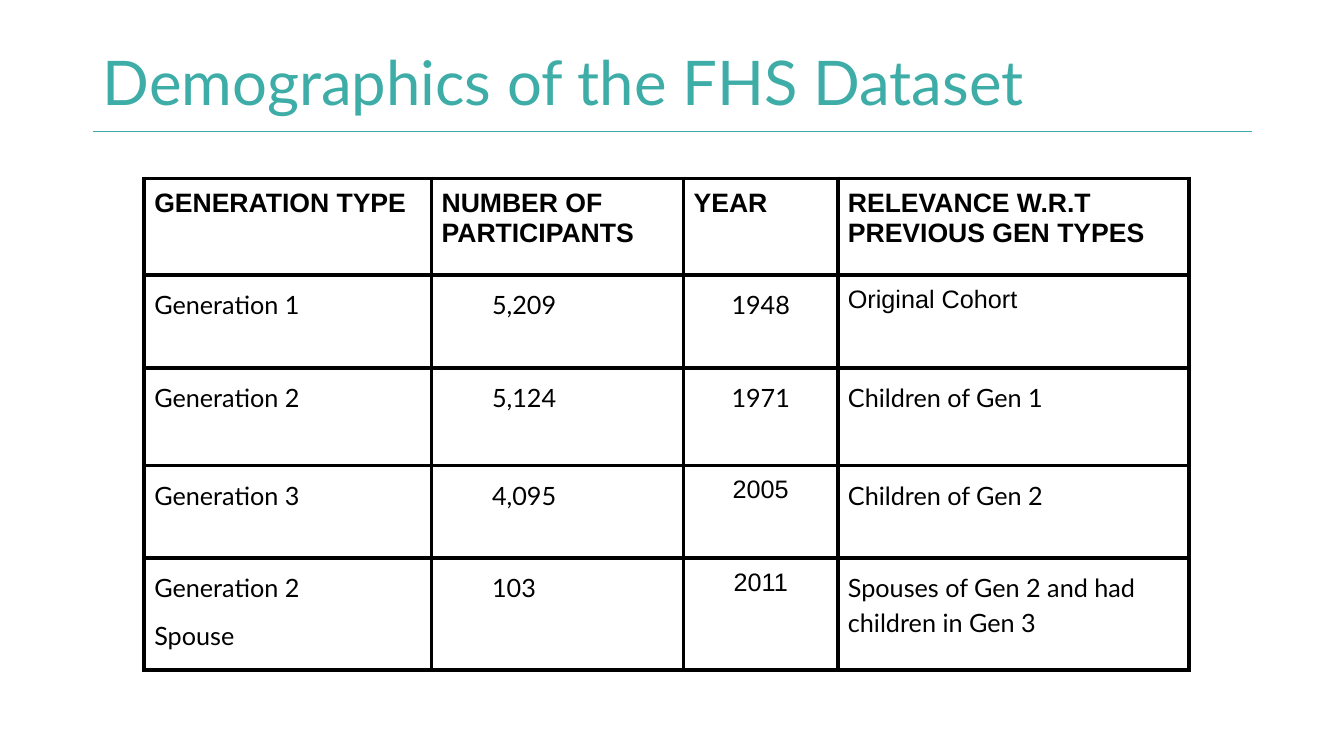
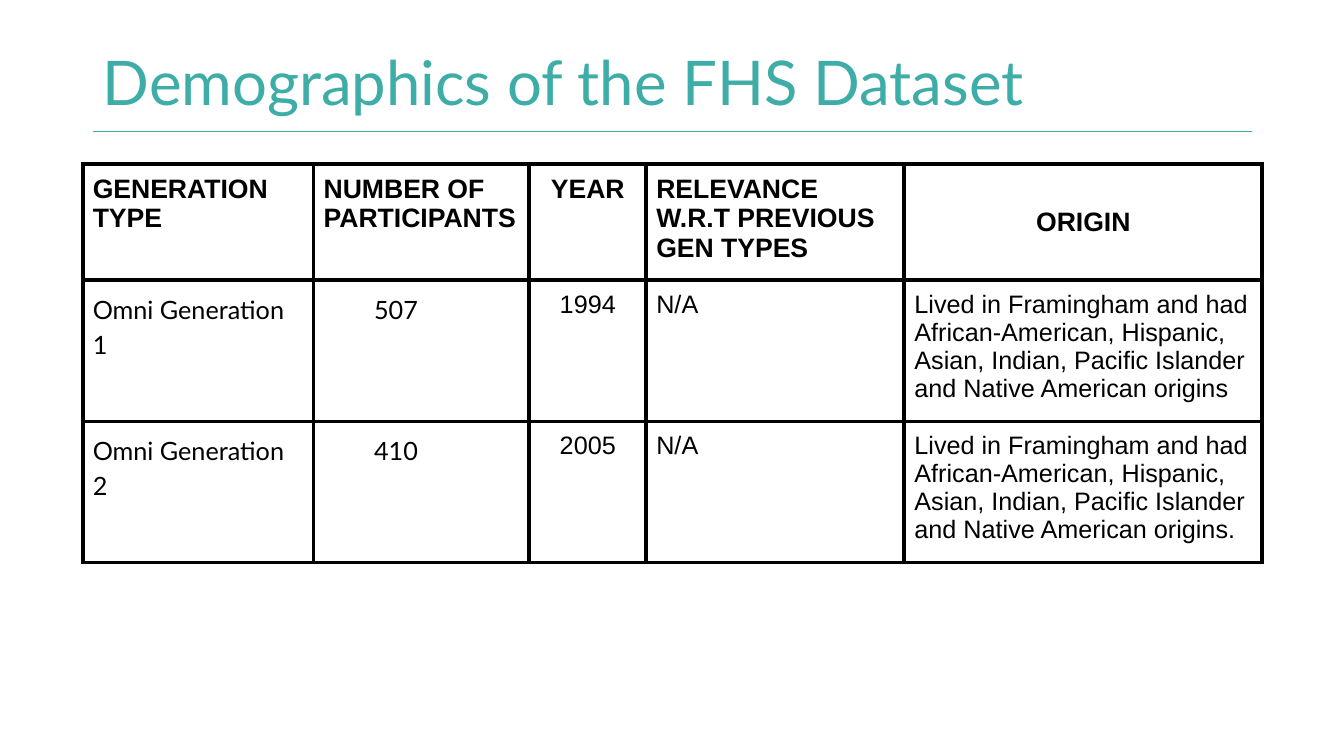
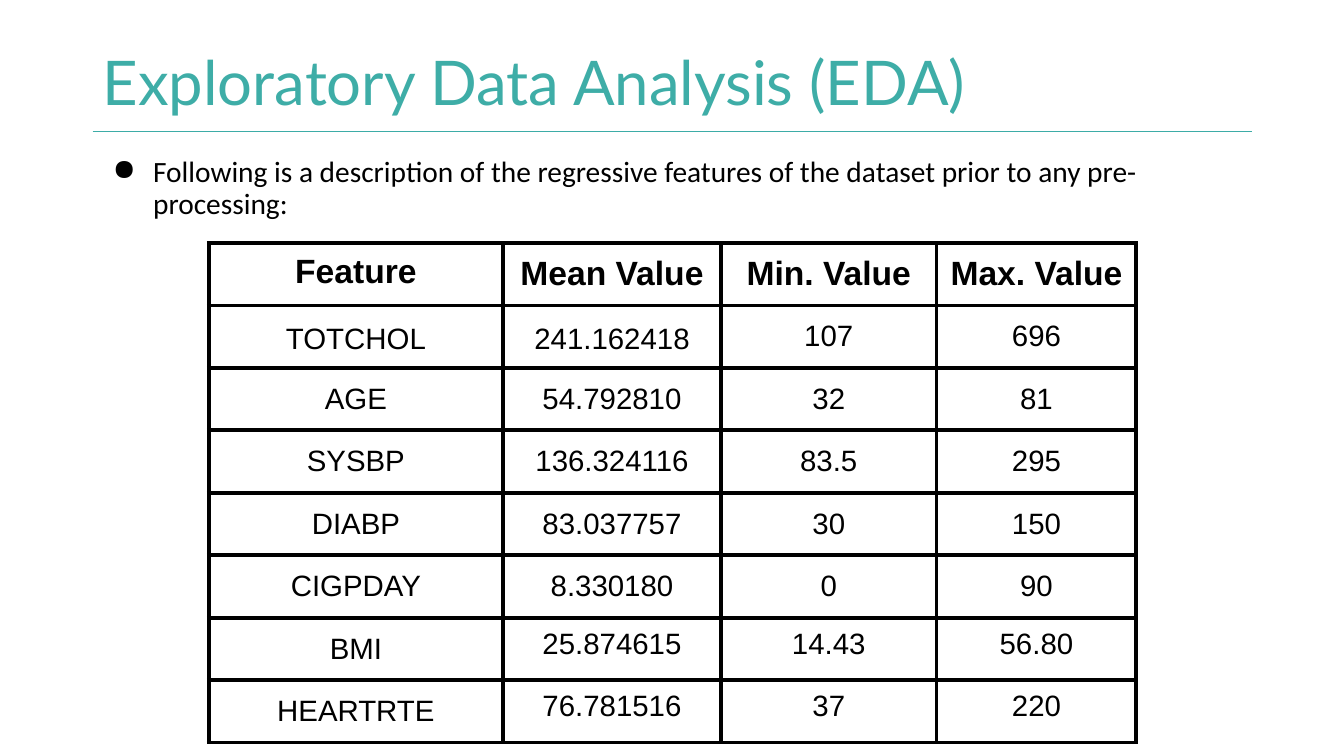
from collections import namedtuple

from lxml import etree
from pptx import Presentation
from pptx.dml.color import RGBColor
from pptx.enum.shapes import MSO_CONNECTOR
from pptx.enum.text import MSO_ANCHOR, PP_ALIGN
from pptx.oxml.ns import qn
from pptx.util import Inches, Pt

LEFT, CENTER = PP_ALIGN.LEFT, PP_ALIGN.CENTER
TOP, MIDDLE = MSO_ANCHOR.TOP, MSO_ANCHOR.MIDDLE
STRAIGHT = MSO_CONNECTOR.STRAIGHT

COLORS = {"title": "3EADA7", "rule": "3DACA7", "text": "000000", "border": "000000"}
BLANK_LAYOUT = 6
TITLE_BOX = (0.92, 0.4, 10.33, 0.9)
RULE_LENGTH = 11.5
BORDER_WIDTH = 3

Style = namedtuple(
    "Style",
    "font size bold align anchor indent line_spacing space_before margins",
    defaults=(False, LEFT, TOP, 0, 1.0, 0, (0.1, 0.1)),
)

HEADER = Style("Arial", 19, bold=True)
HEADER_CENTERED = HEADER._replace(align=CENTER)
HEADER_MIDDLE = HEADER_CENTERED._replace(anchor=MIDDLE)
BODY = Style("Lato", 18, line_spacing=1.15, space_before=9)
BODY_INDENTED = BODY._replace(indent=0.5)
BODY_CENTERED = BODY._replace(align=CENTER)
PLAIN = Style("Arial", 18)
PLAIN_CENTERED = PLAIN._replace(align=CENTER)
FEATURE_HEADER = HEADER_MIDDLE._replace(size=24)
VALUE_TOP = Style("Arial", 21, align=CENTER)
VALUE = VALUE_TOP._replace(anchor=MIDDLE)
FEATURE = VALUE_TOP._replace(line_spacing=1.15)
FEATURE_COMPACT = FEATURE._replace(anchor=MIDDLE, margins=(0.08, 0.04))

TITLE = Style("Lato", 44, anchor=MIDDLE, line_spacing=0.9, margins=(0.1, 0.05))
BULLET = Style("Calibri", 21, line_spacing=0.9, space_before=10, indent=0.5, margins=(0.1, 0.05))

COHORT_ROWS = [
    ["GENERATION TYPE", "NUMBER OF PARTICIPANTS", "YEAR", "RELEVANCE W.R.T PREVIOUS GEN TYPES"],
    ["Generation 1", "5,209", "1948", "Original Cohort"],
    ["Generation 2", "5,124", "1971", "Children of Gen 1"],
    ["Generation 3", "4,095", "2005", "Children of Gen 2"],
    ["Generation 2\nSpouse", "103", "2011", "Spouses of Gen 2 and had children in Gen 3"],
]
ORIGIN = (
    "Lived in Framingham and had African-American, Hispanic, Asian, Indian, "
    "Pacific Islander and Native American origins"
)
OMNI_ROWS = [
    COHORT_ROWS[0] + ["ORIGIN"],
    ["Omni Generation 1", "507", "1994", "N/A", ORIGIN],
    ["Omni Generation 2", "410", "2005", "N/A", ORIGIN + "."],
]
FEATURE_ROWS = [
    ["Feature", "Mean Value", "Min. Value", "Max. Value"],
    ["TOTCHOL", "241.162418", "107", "696"],
    ["AGE", "54.792810", "32", "81"],
    ["SYSBP", "136.324116", "83.5", "295"],
    ["DIABP", "83.037757", "30", "150"],
    ["CIGPDAY", "8.330180", "0", "90"],
    ["BMI", "25.874615", "14.43", "56.80"],
    ["HEARTRTE", "76.781516", "37", "220"],
]


def format_text(text_frame, text, style, color):
    text_frame.text = text
    for paragraph in text_frame.paragraphs:
        paragraph.alignment = style.align
        paragraph.line_spacing = style.line_spacing
        paragraph.space_before = Pt(style.space_before)
        if style.indent:
            paragraph._p.get_or_add_pPr().set("marL", str(Inches(style.indent)))
        for run in paragraph.runs:
            run.font.name = style.font
            run.font.size = Pt(style.size)
            run.font.bold = style.bold
            run.font.color.rgb = RGBColor.from_string(COLORS[color])


def set_margins(target, style):
    horizontal, vertical = map(Inches, style.margins)
    target.margin_left = target.margin_right = horizontal
    target.margin_top = target.margin_bottom = vertical
    target.vertical_anchor = style.anchor


def add_text(slide, box, text, style, color):
    text_frame = slide.shapes.add_textbox(*map(Inches, box)).text_frame
    text_frame.word_wrap = True
    set_margins(text_frame, style)
    format_text(text_frame, text, style, color)
    return text_frame


def add_title(slide, box, title):
    left, top, width, height = box
    rule_top = Inches(top + height)
    rule = slide.shapes.add_connector(
        STRAIGHT, Inches(left), rule_top, Inches(left + RULE_LENGTH), rule_top
    )
    rule.line.color.rgb = RGBColor.from_string(COLORS["rule"])
    rule.line.width = Pt(0.75)
    etree.SubElement(rule._element.spPr, qn("a:effectLst"))
    add_text(slide, box, title, TITLE, "title")


def add_bullet(slide, box, text):
    text_frame = add_text(slide, box, text, BULLET, "text")
    properties = text_frame.paragraphs[0]._p.get_or_add_pPr()
    properties.set("indent", str(Inches(-0.4)))
    bullet_color = etree.SubElement(properties, qn("a:buClr"))
    etree.SubElement(bullet_color, qn("a:srgbClr"), val=COLORS["text"])
    etree.SubElement(properties, qn("a:buChar"), char="●")


def add_borders(cell):
    properties = cell._tc.get_or_add_tcPr()
    for side in ("lnL", "lnR", "lnT", "lnB"):
        border = etree.SubElement(properties, qn(f"a:{side}"), w=str(Pt(BORDER_WIDTH)))
        fill = etree.SubElement(border, qn("a:solidFill"))
        etree.SubElement(fill, qn("a:srgbClr"), val=COLORS["border"])


def add_grid(slide, position, widths, heights, rows, header, columns, exceptions):
    size = (sum(widths), sum(heights))
    table = slide.shapes.add_table(
        len(rows), len(widths), *map(Inches, position + size)
    ).table
    table.first_row = table.horz_banding = False
    for column, width in zip(table.columns, widths):
        column.width = Inches(width)
    for row, height in zip(table.rows, heights):
        row.height = Inches(height)
    for row_index, texts in enumerate(rows):
        styles = columns if row_index else header
        for column_index, text in enumerate(texts):
            place = (row_index, column_index)
            style = exceptions.get(place, styles[column_index])
            cell = table.cell(*place)
            add_borders(cell)
            cell.fill.background()
            set_margins(cell, style)
            format_text(cell.text_frame, text, style, "text")


def add_titled_slide(presentation, title):
    slide = presentation.slides.add_slide(presentation.slide_layouts[BLANK_LAYOUT])
    add_title(slide, TITLE_BOX, title)
    return slide


def build_cohort_slide(presentation):
    slide = add_titled_slide(presentation, "Demographics of the FHS Dataset")
    add_grid(
        slide, (1.43, 1.77), [2.85, 2.5, 1.53, 3.48], [0.96, 0.92, 0.97, 0.92, 1.11],
        COHORT_ROWS, [HEADER] * 4, [BODY, BODY_INDENTED, BODY_CENTERED, BODY],
        {(1, 3): PLAIN, (3, 2): PLAIN_CENTERED, (4, 2): PLAIN_CENTERED},
    )


def build_omni_slide(presentation):
    slide = add_titled_slide(presentation, "Demographics of the FHS Dataset")
    add_grid(
        slide, (0.82, 1.63), [2.29, 2.14, 1.16, 2.56, 3.55], [0.42] * 3,
        OMNI_ROWS, [HEADER, HEADER, HEADER_CENTERED, HEADER, HEADER_MIDDLE],
        [BODY, BODY_INDENTED, PLAIN_CENTERED, PLAIN, PLAIN], {},
    )


def build_feature_slide(presentation):
    slide = add_titled_slide(presentation, "Exploratory Data Analysis (EDA)")
    exceptions = {(row, column): VALUE_TOP for row in (6, 7) for column in (1, 2, 3)}
    exceptions[0, 0] = FEATURE_HEADER._replace(anchor=TOP)
    exceptions[1, 0] = exceptions[1, 1] = FEATURE_COMPACT
    add_grid(
        slide, (2.07, 2.41), [2.92, 2.16, 2.14, 1.98], [0.62] * len(FEATURE_ROWS),
        FEATURE_ROWS, [FEATURE_HEADER] * 4, [FEATURE] + [VALUE] * 3, exceptions,
    )
    add_bullet(
        slide, (0.92, 1.51, 11.5, 0.9),
        "Following is a description of the regressive features of the dataset "
        "prior to any pre-processing:",
    )


def main():
    presentation = Presentation()
    presentation.slide_width = Inches(13.33)
    presentation.slide_height = Inches(7.5)
    build_cohort_slide(presentation)
    build_omni_slide(presentation)
    build_feature_slide(presentation)
    presentation.save("out.pptx")


if __name__ == "__main__":
    main()
